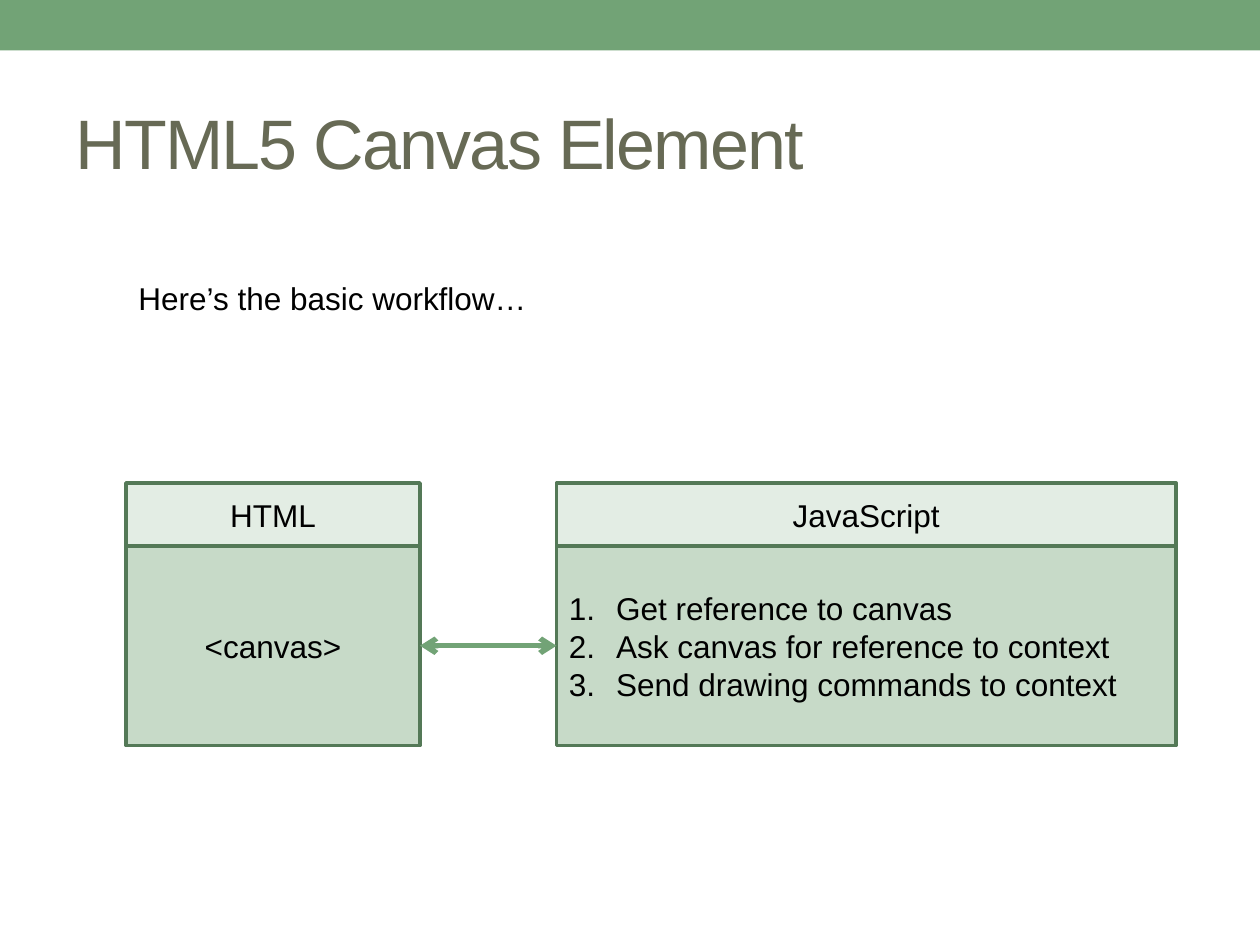
from pptx import Presentation
from pptx.dml.color import RGBColor
from pptx.enum.shapes import MSO_CONNECTOR, MSO_SHAPE
from pptx.enum.text import MSO_ANCHOR, PP_ALIGN
from pptx.oxml.ns import qn
from pptx.util import Pt
from lxml.etree import SubElement

GREEN = RGBColor(0x72, 0xA3, 0x76)
DARK_GREEN = RGBColor(0x54, 0x79, 0x57)
BODY_GREEN = RGBColor(0xC7, 0xDA, 0xC8)
HEADER_GREEN = RGBColor(0xE3, 0xED, 0xE4)
OLIVE = RGBColor(0x67, 0x6A, 0x55)
BLACK = RGBColor(0, 0, 0)

PANEL_TOP, HEADER_HEIGHT, BODY_HEIGHT = 276, 36, 114
HTML_LEFT, HTML_WIDTH = 72, 168
SCRIPT_LEFT, SCRIPT_WIDTH = 318, 354


class SlideBuilder:
    """Draws styled elements on one slide, with lengths in points."""

    def __init__(self, slide, font="Arial", size=18, border=2.08):
        self.slide = slide
        self.font = font
        self.size = size
        self.border = border

    def fill_frame(self, frame, lines, size=None, color=BLACK, align=PP_ALIGN.LEFT,
                   anchor=MSO_ANCHOR.MIDDLE, spacing=None, numbered=False):
        frame.word_wrap = True
        frame.vertical_anchor = anchor
        for index, line in enumerate(lines):
            paragraph = frame.add_paragraph() if index else frame.paragraphs[0]
            paragraph.alignment = align
            if numbered:
                properties = paragraph._p.get_or_add_pPr()
                properties.set("marL", str(Pt(27)))
                properties.set("indent", str(-Pt(27)))
                SubElement(properties, qn("a:buFont"), typeface="+mj-lt")
                SubElement(properties, qn("a:buAutoNum"), type="arabicPeriod")
            run = paragraph.add_run()
            run.text = line
            run.font.name = self.font
            run.font.size = Pt(size or self.size)
            run.font.color.rgb = color
            if spacing is not None:
                run._r.get_or_add_rPr().set("spc", str(spacing))

    def text(self, left, top, width, height, line, **style):
        box = self.slide.shapes.add_textbox(Pt(left), Pt(top), Pt(width), Pt(height))
        self.fill_frame(box.text_frame, [line], **style)

    def rectangle(self, left, top, width, height, fill, lines=(), line_color=None, **style):
        shape = self.slide.shapes.add_shape(
            MSO_SHAPE.RECTANGLE, Pt(left), Pt(top), Pt(width), Pt(height))
        shape.shadow.inherit = False
        shape.fill.solid()
        shape.fill.fore_color.rgb = fill
        if line_color is None:
            shape.line.fill.background()
        else:
            shape.line.color.rgb = line_color
            shape.line.width = Pt(self.border)
        self.fill_frame(shape.text_frame, lines, **style)

    def panel(self, left, width, heading, lines, **style):
        self.rectangle(left, PANEL_TOP + HEADER_HEIGHT, width, BODY_HEIGHT,
                       BODY_GREEN, lines, DARK_GREEN, **style)
        self.rectangle(left, PANEL_TOP, width, HEADER_HEIGHT,
                       HEADER_GREEN, [heading], DARK_GREEN, align=PP_ALIGN.CENTER)

    def double_arrow(self, start, end, y, color, width):
        connector = self.slide.shapes.add_connector(
            MSO_CONNECTOR.STRAIGHT, Pt(start), Pt(y), Pt(end), Pt(y))
        connector.line.color.rgb = color
        connector.line.width = Pt(width)
        properties = connector._element.spPr
        outline = properties.find(qn("a:ln"))
        for tag in ("a:headEnd", "a:tailEnd"):
            SubElement(outline, qn(tag), type="arrow")
        SubElement(properties, qn("a:effectLst"))


def main():
    presentation = Presentation()
    presentation.slide_width = Pt(720)
    presentation.slide_height = Pt(540)
    builder = SlideBuilder(presentation.slides.add_slide(presentation.slide_layouts[6]))

    builder.rectangle(0, 0, 720, 28.8, GREEN)
    builder.text(36, 42, 648, 78, "HTML5 Canvas Element", size=40, color=OLIVE, spacing=-100)
    builder.panel(HTML_LEFT, HTML_WIDTH, "HTML", ["<canvas>"], align=PP_ALIGN.CENTER)
    builder.panel(SCRIPT_LEFT, SCRIPT_WIDTH, "JavaScript", [
        "Get reference to canvas",
        "Ask canvas for reference to context",
        "Send drawing commands to context",
    ], numbered=True)
    builder.double_arrow(HTML_LEFT + HTML_WIDTH, SCRIPT_LEFT,
                         PANEL_TOP + HEADER_HEIGHT + BODY_HEIGHT / 2, GREEN, 3)
    builder.text(72, 156, 564, 51, "Here’s the basic workflow…", anchor=MSO_ANCHOR.TOP)

    presentation.save("out.pptx")


if __name__ == "__main__":
    main()
